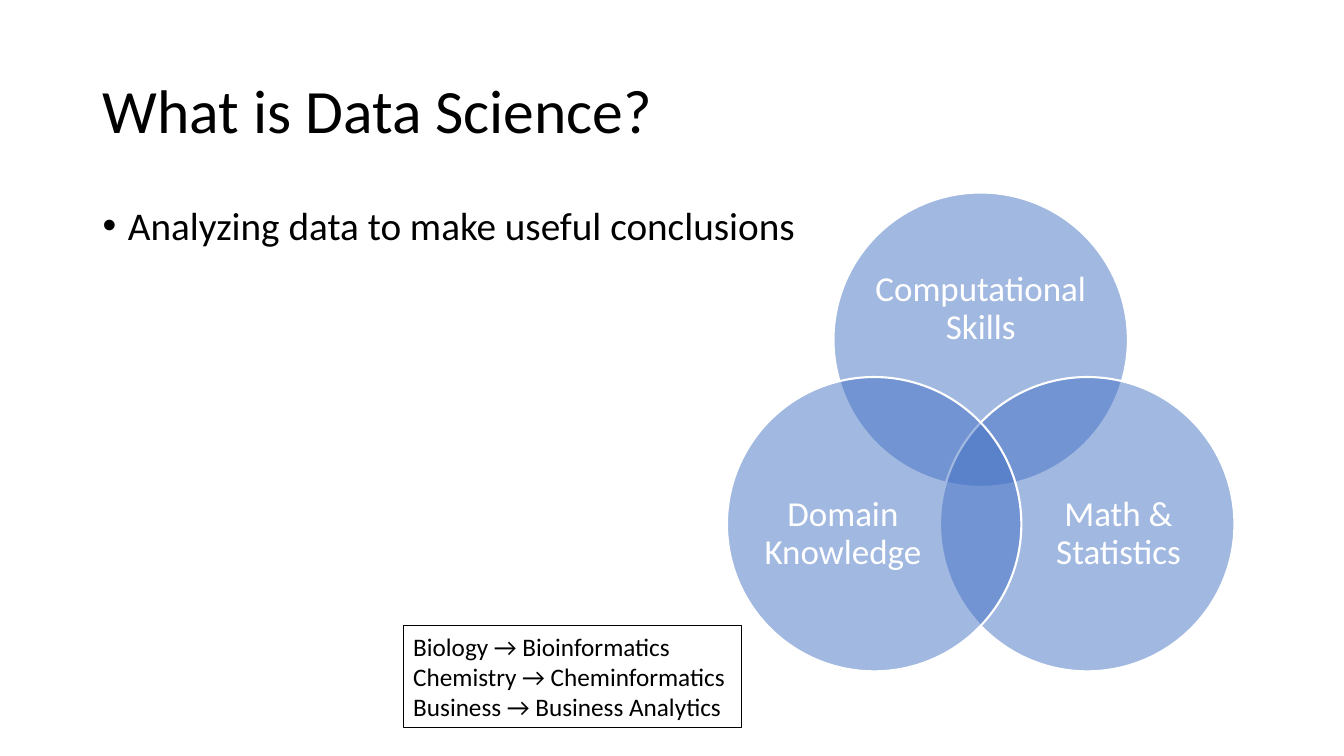
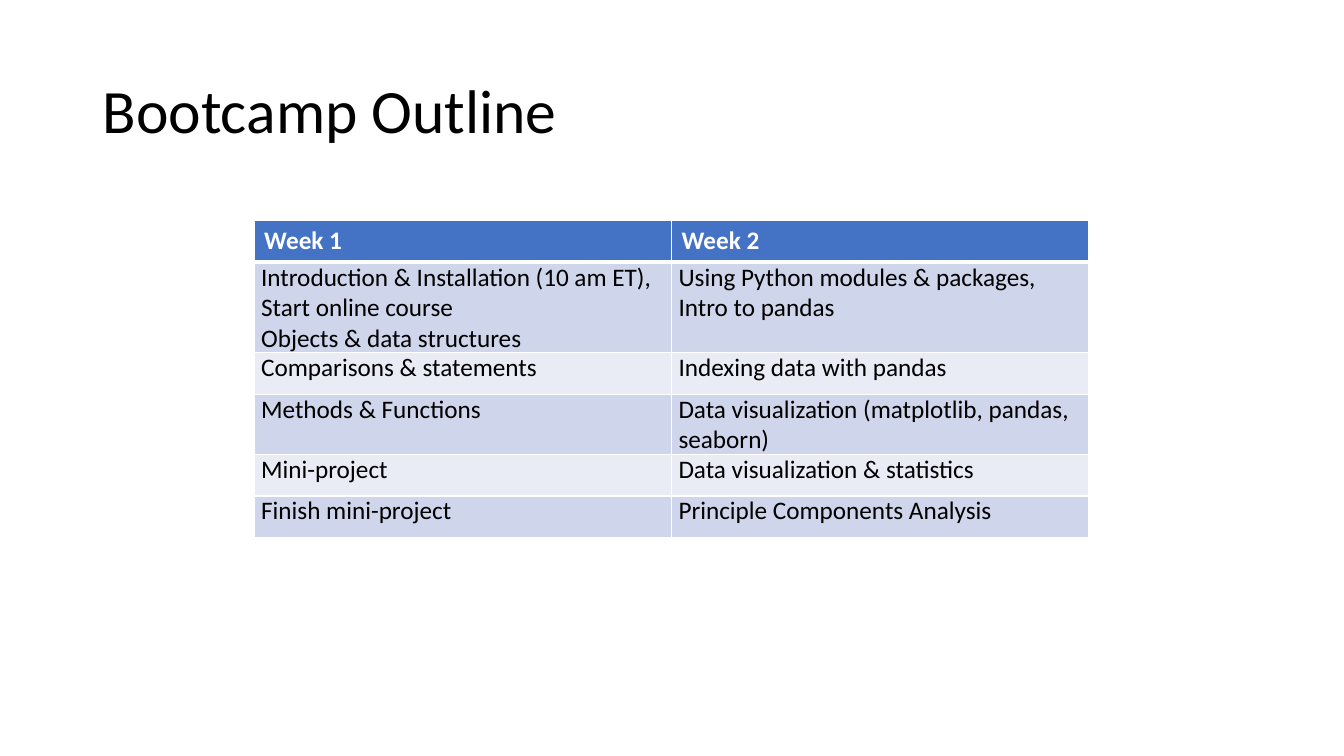
"""Build two slides that introduce a data science bootcamp."""
import math

import lxml.etree
import pptx
import pptx.dml.color
import pptx.enum.shapes
import pptx.enum.text
import pptx.oxml.ns
import pptx.util

Inches = pptx.util.Inches
Pt = pptx.util.Pt
ANCHOR = pptx.enum.text.MSO_ANCHOR
ALIGN = pptx.enum.text.PP_ALIGN
SHAPE = pptx.enum.shapes.MSO_SHAPE
qn = pptx.oxml.ns.qn

FONT = "Calibri"
COLORS = {
    "text": "000000",
    "white": "FFFFFF",
    "accent": "4472C4",
    "band_dark": "CFD5EA",
    "band_light": "E9EBF5",
}
VENN_LABELS = [
    ("Computational Skills", 0, -0.3, 2.14, 1.31),
    ("Math & Statistics", 0.31, 0.1, 1.75, 1.61),
    ("Domain Knowledge", -0.31, 0.1, 1.75, 1.61),
]
FIELDS = [
    "Biology → Bioinformatics",
    "Chemistry → Cheminformatics",
    "Business → Business Analytics",
]
OUTLINE = [
    ("Week 1", "Week 2"),
    ("Introduction & Installation (10 am ET), Start online course\nObjects & data structures",
     "Using Python modules & packages, Intro to pandas"),
    ("Comparisons & statements", "Indexing data with pandas"),
    ("Methods & Functions", "Data visualization (matplotlib, pandas, seaborn)"),
    ("Mini-project", "Data visualization & statistics"),
    ("Finish mini-project", "Principle Components Analysis"),
]


def rgb(name):
    """Return the named color."""
    return pptx.dml.color.RGBColor.from_string(COLORS[name])


def write(frame, text, size, color="text", bold=False, align=ALIGN.LEFT, spacing=1.0):
    """Put text into a frame and format every run."""
    frame.text = text
    for para in frame.paragraphs:
        para.alignment = align
        para.line_spacing = spacing
        for span in para.runs:
            span.font.name = FONT
            span.font.size = Pt(size)
            span.font.bold = bold
            span.font.color.rgb = rgb(color)


def add_text(page, left, top, width, height, text, size, anchor=ANCHOR.TOP, margin=None, **style):
    """Add a wrapping text box and return its frame."""
    box = page.shapes.add_textbox(Inches(left), Inches(top), Inches(width), Inches(height))
    frame = box.text_frame
    frame.word_wrap = True
    frame.vertical_anchor = anchor
    if margin is not None:
        frame.margin_left = frame.margin_right = Inches(margin)
        frame.margin_top = frame.margin_bottom = Inches(margin)
    write(frame, text, size, **style)
    return frame


def add_page(deck, title):
    """Add a blank slide with the shared title style."""
    page = deck.slides.add_slide(deck.slide_layouts[6])
    add_text(page, 0.92, 0.4, 11.5, 1.45, title, 44, ANCHOR.MIDDLE, spacing=0.9)
    return page


def add_bullet(page, left, top, width, height, text):
    """Add a text box with one bulleted line."""
    frame = add_text(page, left, top, width, height, text, 28, spacing=0.9)
    properties = frame.paragraphs[0]._p.get_or_add_pPr()
    properties.set("marL", str(Inches(0.25)))
    properties.set("indent", str(Inches(-0.25)))
    for tag, key, value in (("a:buFont", "typeface", "Arial"), ("a:buChar", "char", "•")):
        lxml.etree.SubElement(properties, qn(tag)).set(key, value)


def add_circle(page, center_x, center_y, diameter):
    """Add a half transparent circle around a center."""
    size = Inches(diameter)
    circle = page.shapes.add_shape(
        SHAPE.OVAL, Inches(center_x - diameter / 2), Inches(center_y - diameter / 2), size, size)
    circle.shadow.inherit = False
    circle.fill.solid()
    circle.fill.fore_color.rgb = rgb("accent")
    fill_color = circle._element.spPr.find(qn("a:solidFill")).find(qn("a:srgbClr"))
    lxml.etree.SubElement(fill_color, qn("a:alpha")).set("val", "50000")
    circle.line.color.rgb = rgb("white")
    circle.line.width = Pt(1.5)


def add_venn(page, left, top, diameter, orbit):
    """Add three overlapping circles, spaced evenly around a middle point."""
    middle_x = left + diameter / 2 + orbit * math.cos(math.radians(30))
    middle_y = top + diameter / 2 + orbit
    for index, (label, shift_x, shift_y, width, height) in enumerate(VENN_LABELS):
        angle = math.radians(120 * index - 90)
        center_x = middle_x + orbit * math.cos(angle)
        center_y = middle_y + orbit * math.sin(angle)
        add_circle(page, center_x, center_y, diameter)
        add_text(page, center_x + shift_x - width / 2, center_y + shift_y - height / 2,
                 width, height, label, 25, ANCHOR.MIDDLE, margin=0,
                 color="white", align=ALIGN.CENTER, spacing=0.9)


def add_fields(page, left, top, width, height):
    """Add the outlined list of fields."""
    box = page.shapes.add_shape(
        SHAPE.RECTANGLE, Inches(left), Inches(top), Inches(width), Inches(height))
    box.shadow.inherit = False
    box.fill.background()
    box.line.color.rgb = rgb("text")
    box.line.width = Pt(0.75)
    box.text_frame.word_wrap = False
    box.text_frame.vertical_anchor = ANCHOR.TOP
    write(box.text_frame, "\n".join(FIELDS), 18)


def add_borders(cell, bottom):
    """Draw white cell borders, with a bottom border of the given width."""
    properties = cell._tc.get_or_add_tcPr()
    for tag, width in (("a:lnL", 1), ("a:lnR", 1), ("a:lnT", 1), ("a:lnB", bottom)):
        line = lxml.etree.SubElement(properties, qn(tag))
        line.set("w", str(Pt(width)))
        fill = lxml.etree.SubElement(line, qn("a:solidFill"))
        lxml.etree.SubElement(fill, qn("a:srgbClr")).set("val", COLORS["white"])


def add_outline(page, left, top, width, row_height):
    """Add the banded table of weekly topics."""
    table = page.shapes.add_table(
        len(OUTLINE), len(OUTLINE[0]), Inches(left), Inches(top),
        Inches(width), Inches(row_height * len(OUTLINE))).table
    for row, topics in enumerate(OUTLINE):
        header = row == 0
        band = "accent" if header else ("band_light", "band_dark")[row % 2]
        for column, topic in enumerate(topics):
            cell = table.cell(row, column)
            add_borders(cell, 3 if header else 1)
            cell.fill.solid()
            cell.fill.fore_color.rgb = rgb(band)
            if not header:
                cell.margin_left = cell.margin_right = Inches(0.07)
                cell.margin_top = cell.margin_bottom = 0
            write(cell.text_frame, topic, 18, "white" if header else "text", bold=header)


def build_definition(deck):
    """Build the slide that defines data science."""
    page = add_page(deck, "What is Data Science?")
    add_bullet(page, 0.92, 2, 7.69, 1.49, "Analyzing data to make useful conclusions")
    add_venn(page, 7.21, 1.91, 2.92, 1.22)
    add_fields(page, 4, 6.21, 3.35, 1.01)


def build_outline(deck):
    """Build the slide with the bootcamp outline."""
    page = add_page(deck, "Bootcamp Outline")
    add_outline(page, 2.52, 2.19, 8.28, 0.41)


def main():
    """Build and save the deck."""
    deck = pptx.Presentation()
    deck.slide_width = Inches(13.33)
    deck.slide_height = Inches(7.5)
    build_definition(deck)
    build_outline(deck)
    deck.save("out.pptx")


if __name__ == "__main__":
    main()
